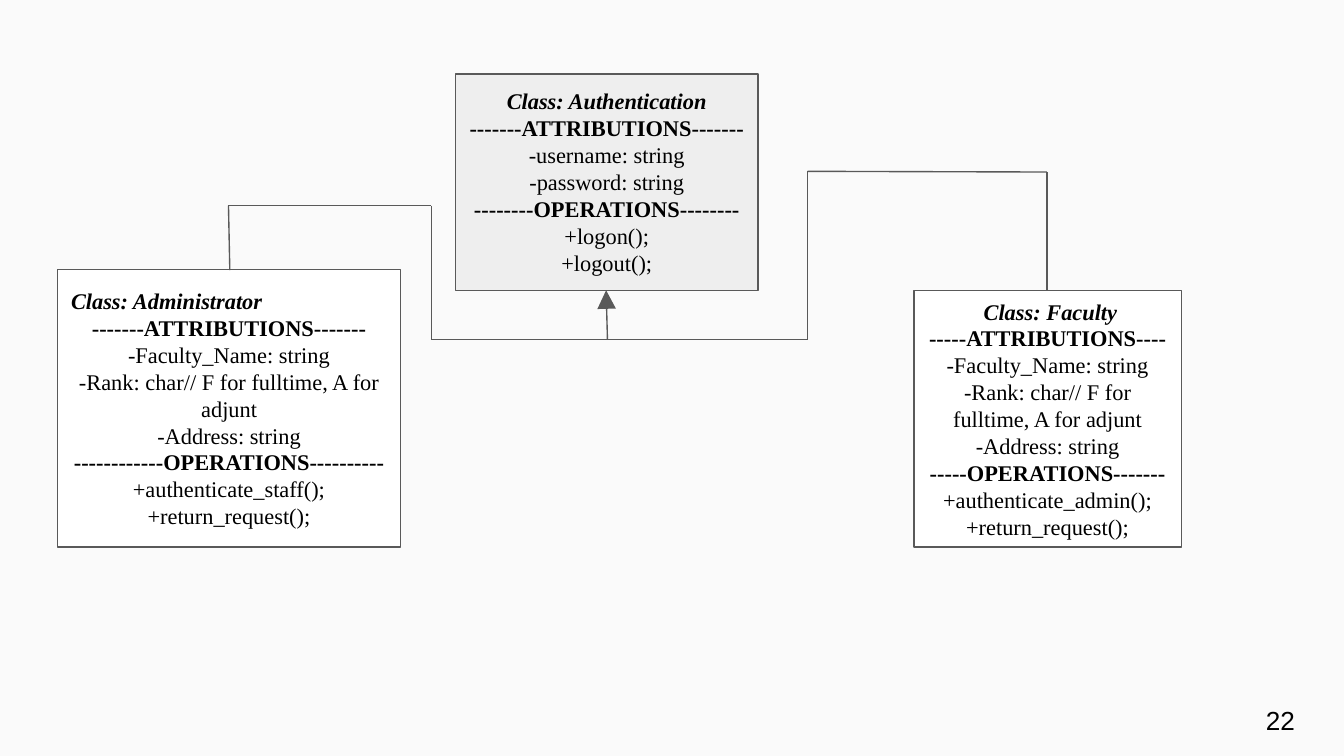
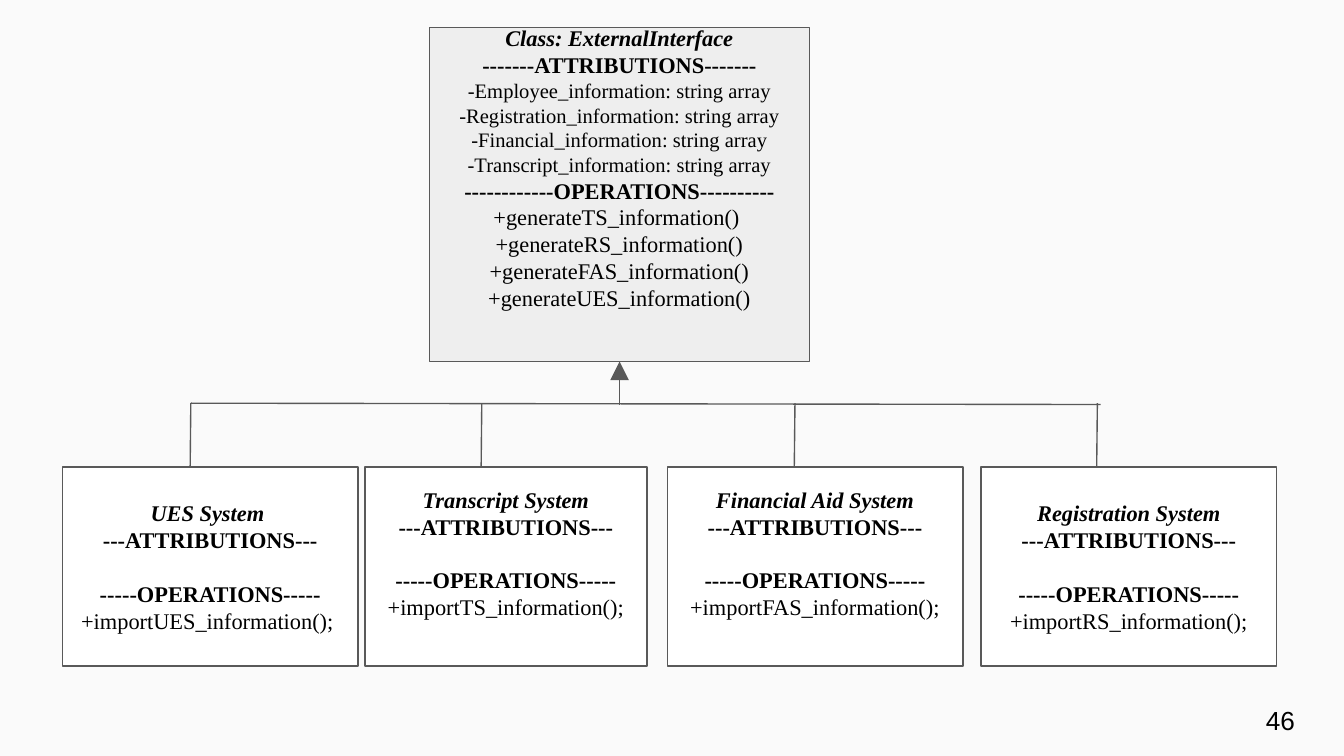
from itertools import pairwise

from lxml.etree import SubElement
from pptx import Presentation
from pptx.dml.color import RGBColor
from pptx.enum.shapes import MSO_CONNECTOR as Connector, MSO_SHAPE as Shape
from pptx.enum.text import MSO_ANCHOR as Anchor, PP_ALIGN as Align
from pptx.oxml.ns import qn
from pptx.util import Inches, Pt

BACKGROUND = RGBColor(0xFA, 0xFA, 0xFA)
PARENT_FILL = RGBColor(0xEE, 0xEE, 0xEE)
CHILD_FILL = RGBColor(0xFF, 0xFF, 0xFF)
LINE = RGBColor(0x59, 0x59, 0x59)
TEXT = RGBColor(0x00, 0x00, 0x00)

# The grid has 100 columns and 56.25 rows of square cells
COLUMNS, ROWS = 100, 56.25


def cells(count):
    return Inches(count / 10)


class ClassDiagram:
    """Holds the style and the current slide; boxes and lines use grid cells."""

    body_font = "Times New Roman"
    number_font = "Arial"
    body_size = 12
    number_size = 14
    line_width = Pt(0.75)
    inset = 1

    def __init__(self, presentation):
        self.presentation = presentation
        self.slide = None

    def new_slide(self):
        layout = self.presentation.slide_layouts[6]
        self.slide = self.presentation.slides.add_slide(layout)
        fill = self.slide.background.fill
        fill.solid()
        fill.fore_color.rgb = BACKGROUND

    def set_frame(self, frame, anchor, top=inset, bottom=inset):
        frame.word_wrap = True
        frame.vertical_anchor = anchor
        frame.margin_left = frame.margin_right = cells(self.inset)
        frame.margin_top, frame.margin_bottom = cells(top), cells(bottom)

    def add_run(self, paragraph, text, name, size, bold=False, italic=False):
        run = paragraph.add_run()
        run.text = text
        font = run.font
        font.name, font.size = name, Pt(size)
        font.bold, font.italic = bold, italic
        font.color.rgb = TEXT

    def page_number(self, number):
        box = self.slide.shapes.add_textbox(*map(cells, (93.2, 51.4, 6, 4.3)))
        self.set_frame(box.text_frame, Anchor.MIDDLE)
        self.add_run(box.text_frame.paragraphs[0], str(number),
                     self.number_font, self.number_size)

    def class_box(self, place, title, rules, attributes, operations,
                  fill=CHILD_FILL, anchor=Anchor.MIDDLE, top=inset, bottom=inset,
                  attribute_size=body_size, title_align=Align.CENTER, title_indent=0,
                  after_rule=""):
        shape = self.slide.shapes.add_shape(Shape.RECTANGLE, *map(cells, place))
        shape.shadow.inherit = False
        shape.fill.solid()
        shape.fill.fore_color.rgb = fill
        shape.line.color.rgb = LINE
        shape.line.width = self.line_width
        frame = shape.text_frame
        self.set_frame(frame, anchor, top, bottom)

        # Title
        paragraph = frame.paragraphs[0]
        paragraph.alignment = title_align
        if title_indent:
            properties = paragraph._p.get_or_add_pPr()
            properties.set("marL", "0")
            properties.set("indent", str(cells(title_indent)))
        self.add_run(paragraph, title, self.body_font, self.body_size, True, True)

        # Attributes under their rule
        attribute_rule, operation_rule = rules
        self.add_row(frame, attribute_rule, self.body_size, bold=True)
        for attribute in attributes:
            self.add_row(frame, attribute, attribute_size)

        # Operations under their rule, set off when there are no attributes
        heading = self.add_row(frame, operation_rule, self.body_size, bold=True)
        if not attributes:
            heading.space_before = Pt(14.4)
        if after_rule:
            self.add_run(heading, after_rule, self.body_font, self.body_size)
        for operation in operations:
            self.add_row(frame, operation, self.body_size)

    def add_row(self, frame, text, size, bold=False):
        paragraph = frame.add_paragraph()
        paragraph.alignment = Align.CENTER
        self.add_run(paragraph, text, self.body_font, size, bold)
        return paragraph

    def line(self, start, end, arrow=False):
        connector = self.slide.shapes.add_connector(
            Connector.STRAIGHT, *map(cells, (*start, *end)))
        connector.line.color.rgb = LINE
        connector.line.width = self.line_width
        if arrow:
            SubElement(connector.line._get_or_add_ln(), qn("a:tailEnd"),
                       type="triangle", w="lg", len="lg")
        SubElement(connector._element.spPr, qn("a:effectLst"))

    def path_through(self, *points):
        for start, end in pairwise(points):
            self.line(start, end)


def authentication_slide(diagram):
    diagram.new_slide()
    staff = ["-Faculty_Name: string", "-Rank: char// F for fulltime, A for adjunt",
             "-Address: string"]

    # Classes
    diagram.class_box(
        (33.9, 5.5, 22.5, 16.1), "Class: Authentication",
        ("-------ATTRIBUTIONS-------", "--------OPERATIONS--------"),
        ["-username: string", "-password: string"], ["+logout();"],
        fill=PARENT_FILL, anchor=Anchor.TOP, after_rule="+logon();")
    diagram.class_box(
        (68, 21.6, 19.9, 19.1), "Class: Faculty",
        ("-----ATTRIBUTIONS----", "-----OPERATIONS-------"),
        staff, ["+authenticate_admin();", "+return_request();"],
        title_align=Align.LEFT, title_indent=4.2)
    diagram.class_box(
        (4.3, 20.05, 25.5, 20.65), "Class: Administrator",
        ("-------ATTRIBUTIONS-------", "------------OPERATIONS----------"),
        staff, ["+authenticate_staff();", "+return_request();"],
        title_align=Align.LEFT)

    # Inheritance lines
    joint = (45.2, 25.25)
    diagram.line(joint, (45.1, 21.6), arrow=True)
    diagram.path_through((17.1, 20.1), (17, 15.3), (32.1, 15.3), (32.1, 25.25), joint)
    diagram.path_through((77.9, 21.6), (77.9, 12.8), (60.1, 12.75), (60.1, 25.25), joint)

    diagram.page_number(22)


def external_interface_slide(diagram):
    diagram.new_slide()
    row_top, bus = 34.75, 30

    # Systems: left, width, bottom inset, line position, title, operation
    systems = [
        (4.65, 22, 1, 14.15, "UES System ", "+importUES_information(); "),
        (27.15, 21, 3, 35.8, "Transcript System", "+importTS_information();"),
        (49.65, 22, 3, 59.1, "Financial Aid System", "+importFAS_information();"),
        (73, 22, 1, 81.6, "Registration System", "+importRS_information();"),
    ]
    for left, width, bottom, stem, title, operation in systems:
        diagram.class_box(
            (left, row_top, width, 14.8), title,
            ("---ATTRIBUTIONS---", "-----OPERATIONS-----"), [], [operation],
            bottom=bottom)

    # Parent class
    kinds = ("Employee", "Registration", "Financial", "Transcript")
    diagram.class_box(
        (31.95, 2.05, 28.3, 24.85), "Class: ExternalInterface",
        ("-------ATTRIBUTIONS-------", "------------OPERATIONS----------"),
        [f"-{kind}_information: string array" for kind in kinds],
        ["+generateTS_information() ", "+generateRS_information()",
         "+generateFAS_information()", "+generateUES_information()"],
        fill=PARENT_FILL, top=0, bottom=4, attribute_size=11)

    # Arrow to the parent, shared line and a stem to each system
    diagram.line((46.1, bus + 0.1), (46.1, 26.9), arrow=True)
    diagram.line((81.9, bus + 0.1), (14.2, bus))
    for _, _, _, stem, _, _ in systems:
        diagram.line((stem, row_top), (stem + 0.05, bus))

    diagram.page_number(46)


def main():
    presentation = Presentation()
    presentation.slide_width, presentation.slide_height = cells(COLUMNS), cells(ROWS)
    diagram = ClassDiagram(presentation)
    authentication_slide(diagram)
    external_interface_slide(diagram)
    presentation.save("out.pptx")


if __name__ == "__main__":
    main()
